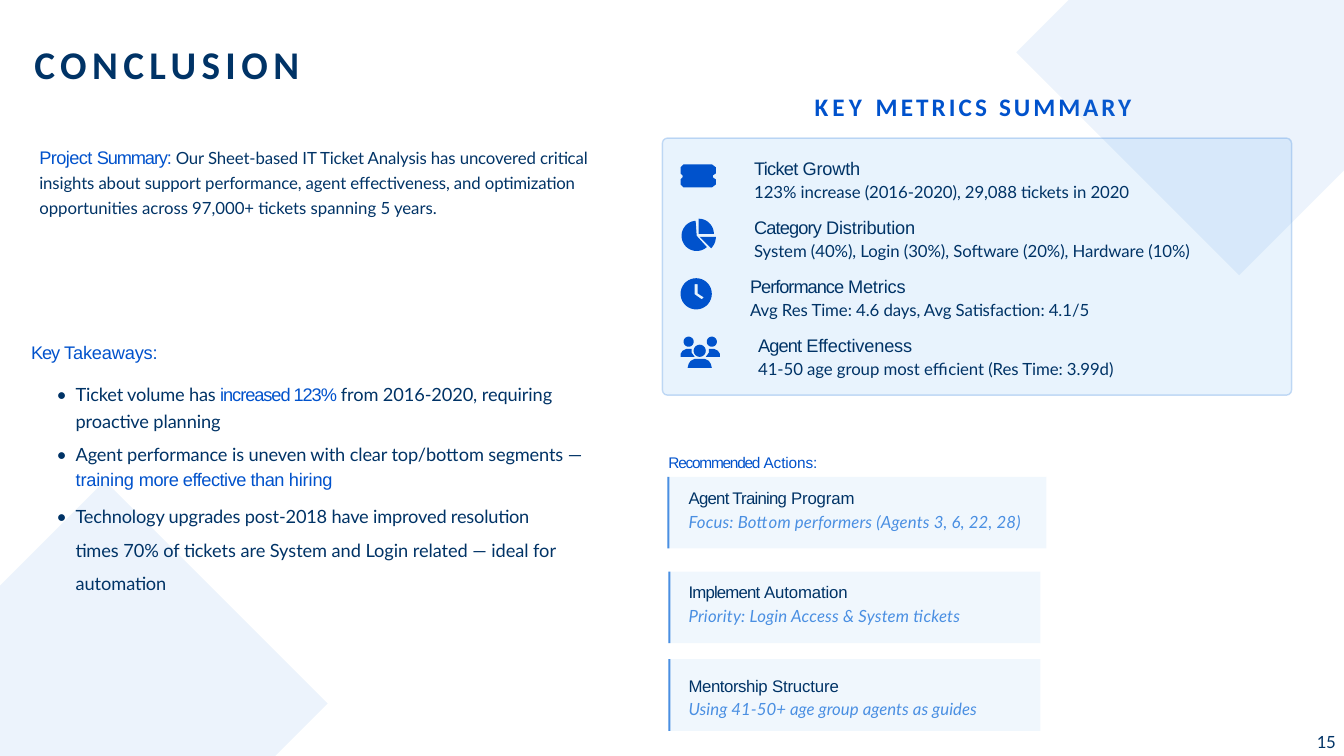
from math import cos, radians, sin

from lxml.etree import SubElement
from pptx import Presentation
from pptx.dml.color import RGBColor as Rgb
from pptx.enum.shapes import MSO_SHAPE as Form
from pptx.oxml.ns import qn
from pptx.util import Inches, Pt

WIDE, HIGH = 13.33, 7.5
COLORS = {"navy": "003366", "blue": "0052CC", "sky": "4A8FE2", "pale": "E3F1FD"}

# style: font, size, colour, bold, italic
STYLES = {
    "title": ("Calibri", 28, "navy", True, False),
    "head": ("Calibri", 18, "blue", True, False),
    "label": ("Arial", 13, "blue", False, False),
    "small": ("Arial", 11, "blue", False, False),
    "metric": ("Arial", 13, "navy", False, False),
    "value": ("Lato", 12, "navy", False, False),
    "body": ("Lato", 13, "navy", False, False),
    "action": ("Arial", 12, "navy", False, False),
    "focus": ("Lato", 12, "sky", False, True),
}

# run: text, style, letter spacing in points
TITLE = [("CONCLUSION", "title", 3.9)]
HEAD = [("KEY ", "head", 2.9), ("METRICS ", "head", 2.2), ("SUMMARY", "head", 2.1)]
PAGE = [("15", "value", -0.2)]
SUMMARY = [
    ("Project ", "label", -0.4), ("Summary: ", "label", -0.8),
    ("Our Sheet-based IT Ticket Analysis has uncovered critical insights about "
     "support performance, agent effectiveness, and optimization ",
     "value", -0.08),
    ("opportunities across 97,000+ tickets spanning 5 years.", "value", -0.02),
]
# metric: indent, first word, its spacing, second word, value
METRICS = [
    (0.05, "Ticket ", -0.5, "Growth",
     "123% increase (2016-2020), 29,088 tickets in 2020"),
    (0.05, "Category ", -0.6, "Distribution",
     "System (40%), Login (30%), Software (20%), Hardware (10%)"),
    (0.01, "Performance ", -0.7, "Metrics",
     "Avg Res Time: 4.6 days, Avg Satisfaction: 4.1/5"),
    (0.09, "Agent ", -0.6, "Effectiveness",
     "41-50 age group most efficient (Res Time: 3.99d)"),
]
TAKE = [("Key ", "label", -0.8), ("Takeaways:", "label", -0.1)]
# bullet: line spacing, space before, right margin, runs
BULLETS = [
    (1.22, 11, 0, [
        ("Ticket volume has ", "body", -0.1), ("increased 123% ", "label", -0.75),
        ("from 2016-2020, requiring proactive planning", "body", -0.06)]),
    (1.15, 5.6, 0, [
        ("Agent performance is uneven with clear top/bottom segments — ",
         "body", -0.09),
        ("training ", "label", -0.1), ("more effective than ", "label", -0.35),
        ("hiring", "label", -0.1)]),
    (Pt(24), 2.2, 0.25, [
        ("Technology upgrades post-2018 have improved resolution ",
         "body", -0.1),
        ("times 70% of tickets are System and Login related — ideal for "
         "automation", "body", -0.04)]),
]
ADVICE = [("Recommended ", "small", -0.9), ("Actions:", "small", -0.1)]
# action: card left, top, width, text top, two runs, focus with its spacing
ACTIONS = [
    (6.62, 4.73, 3.76, 4.84, ("Agent Training ", -0.55), "Program",
     ("Focus: Bottom performers (Agents 3, 6, 22, 28)", 0.1)),
    (6.63, 5.67, 3.69, 5.77, ("Implement ", -0.6), "Automation",
     ("Priority: Login Access & System tickets", 0.14)),
    (6.63, 6.54, 3.69, 6.7, ("Mentorship ", -0.3), "Structure",
     ("Using 41-50+ age group agents as guides", 0.04)),
]

CORNER = [(12.29, 2.73), (10.08, 0.52), (10.6, 0), (WIDE, 0), (WIDE, 1.69)]
# wedge: centre, radius, start and end angle
WEDGES = [(6.91, 2.34, 0.15, 48, 266), (6.93, 2.32, 0.15, 270, 360),
          (6.94, 2.35, 0.16, 0, 45)]
TICKET = [(6.75, 1.72), (6.75, 1.66), (6.78, 1.63), (7.06, 1.63), (7.1, 1.66),
          (7.1, 1.72), (7.07, 1.74), (7.07, 1.76), (7.1, 1.78), (7.1, 1.83),
          (7.06, 1.86), (6.78, 1.86), (6.75, 1.83), (6.75, 1.78),
          (6.77, 1.76), (6.77, 1.74)]
HANDS = [(6.89, 2.82), (6.92, 2.82), (6.92, 2.91), (6.98, 2.95),
         (6.96, 2.97), (6.89, 2.92)]
HEADS = [(6.83, 3.39, 0.05), (7.06, 3.39, 0.05), (6.94, 3.48, 0.06)]
SIDE = [(6.75, 3.54), (6.75, 3.51), (6.77, 3.48), (6.81, 3.46), (6.86, 3.46),
        (6.86, 3.5), (6.89, 3.54)]
MIDDLE = [(6.82, 3.65), (6.83, 3.61), (6.85, 3.58), (6.89, 3.56), (6.99, 3.56),
          (7.03, 3.58), (7.05, 3.61), (7.06, 3.65)]

deck = Presentation()
deck.slide_width, deck.slide_height = Inches(WIDE), Inches(HIGH)
slide = deck.slides.add_slide(deck.slide_layouts[6])
shapes = slide.shapes


def tint(color):
    return Rgb.from_string(COLORS[color])


def fade(node, alpha):
    """Set the opacity, in percent, of the solid fill inside node."""
    SubElement(node.find(qn("a:solidFill"))[0], qn("a:alpha"),
               val=str(alpha * 1000))


def paint(shape, color, alpha=100):
    shape.shadow.inherit = False
    shape.fill.solid()
    shape.fill.fore_color.rgb = tint(color)
    shape.line.fill.background()
    if alpha < 100:
        fade(shape._element.spPr, alpha)
    return shape


def block(form, x, y, w, h, color, alpha=100):
    box = shapes.add_shape(form, Inches(x), Inches(y), Inches(w), Inches(h))
    return paint(box, color, alpha)


def outline(loops, color, alpha=100):
    """Draw closed loops as one shape; a loop inside another is a hole."""
    pen = shapes.build_freeform(*map(Inches, loops[0][0]), scale=1.0)
    for i, loop in enumerate(loops):
        points = [tuple(map(Inches, p)) for p in loop]
        if i:
            pen.move_to(*points[0])
        pen.add_line_segments(points[1:])
    return paint(pen.convert_to_shape(), color, alpha)


def arc(x, y, size, start=0, end=360):
    turns = [radians(start + (end - start) * i / 36) for i in range(37)]
    return [(x + size * cos(a), y + size * sin(a)) for a in turns]


def dress(font, style):
    font.name, font.size = STYLES[style][0], Pt(STYLES[style][1])
    font.color.rgb = tint(STYLES[style][2])
    font.bold, font.italic = STYLES[style][3:]


def frame(x, y, w, h):
    text = shapes.add_textbox(*map(Inches, (x, y, w, h))).text_frame
    text.word_wrap = True
    text.margin_left = text.margin_right = 0
    text.margin_top = text.margin_bottom = 0
    return text


def write(text, runs, before=None, lines=None, left=0, right=0, bullet=False):
    """Fill the first paragraph of a frame if it is empty, or add one."""
    para = text.paragraphs[0]
    if para.runs:
        para = text.add_paragraph()
    props = para._p.get_or_add_pPr()
    props.set("marL", str(Inches(left)))
    if right:
        props.set("marR", str(Inches(right)))
    if before is not None:
        para.space_before = Pt(before)
    if lines:
        para.line_spacing = lines
    if bullet:
        props.set("indent", str(Inches(-0.19)))
        SubElement(props, qn("a:buFont"), typeface="Lato")
        SubElement(props, qn("a:buChar"), char="•")
    base = runs[0][1]
    dress(para.font, base)
    for words, style, gap in runs:
        run = para.add_run()
        run.text = words
        if style != base:
            dress(run.font, style)
        run._r.get_or_add_rPr().set("spc", str(round(gap * 100)))


def draw_icons():
    pie = [[wedge[:2]] + arc(*wedge) for wedge in WEDGES]
    clock = [arc(6.905, 2.915, 0.155), HANDS]
    other = [(13.89 - x, y) for x, y in SIDE]
    team = [arc(*head) for head in HEADS] + [SIDE, other, MIDDLE]
    outline([TICKET] + pie + clock + team, "blue")


def draw_metrics():
    panel = block(Form.ROUNDED_RECTANGLE, 6.57, 1.37, 6.24, 2.55, "pale", 80)
    panel.adjustments[0] = 0.02
    panel.line.color.rgb, panel.line.width = tint("sky"), Pt(1)
    fade(panel.line._get_or_add_ln(), 30)
    write(frame(8.08, 0.91, 3.5, 0.33), HEAD)
    draw_icons()
    text = frame(7.43, 1.56, 5.2, 2.2)
    for i, (left, first, gap, second, value) in enumerate(METRICS):
        write(text, [(first, "metric", gap), (second, "metric", -0.1)],
              10.2 if i else None, left=left)
        write(text, [(value, "value", -0.06)], 1.9, left=left)


def draw_actions():
    for x, y, w, top, (first, gap), second, (focus, space) in ACTIONS:
        block(Form.RECTANGLE, x, y, w, 0.71, "pale", 50)
        block(Form.RECTANGLE, x, y, 0.02, 0.71, "sky")
        text = frame(6.83, top, 3.5, 0.45)
        write(text, [(first, "action", gap), (second, "action", -0.1)])
        write(text, [(focus, "focus", space)], 2.6)
    write(frame(6.63, 4.5, 3.4, 0.2), ADVICE)


outline([[(WIDE - x, HIGH - y) for x, y in CORNER]], "sky", 10)
write(frame(0.34, 0.4, 3.3, 0.49), TITLE)
draw_metrics()
outline([CORNER], "sky", 10)
draw_actions()
write(frame(0.39, 1.4, 5.71, 0.76), SUMMARY, lines=1.23)
take = frame(0.3, 3.39, 5.55, 2.5)
write(take, TAKE, left=0.01)
for lines, before, right, runs in BULLETS:
    write(take, runs, before, lines, 0.45, right, True)
write(frame(13.06, 7.26, 0.25, 0.22), PAGE)
deck.save("out.pptx")
